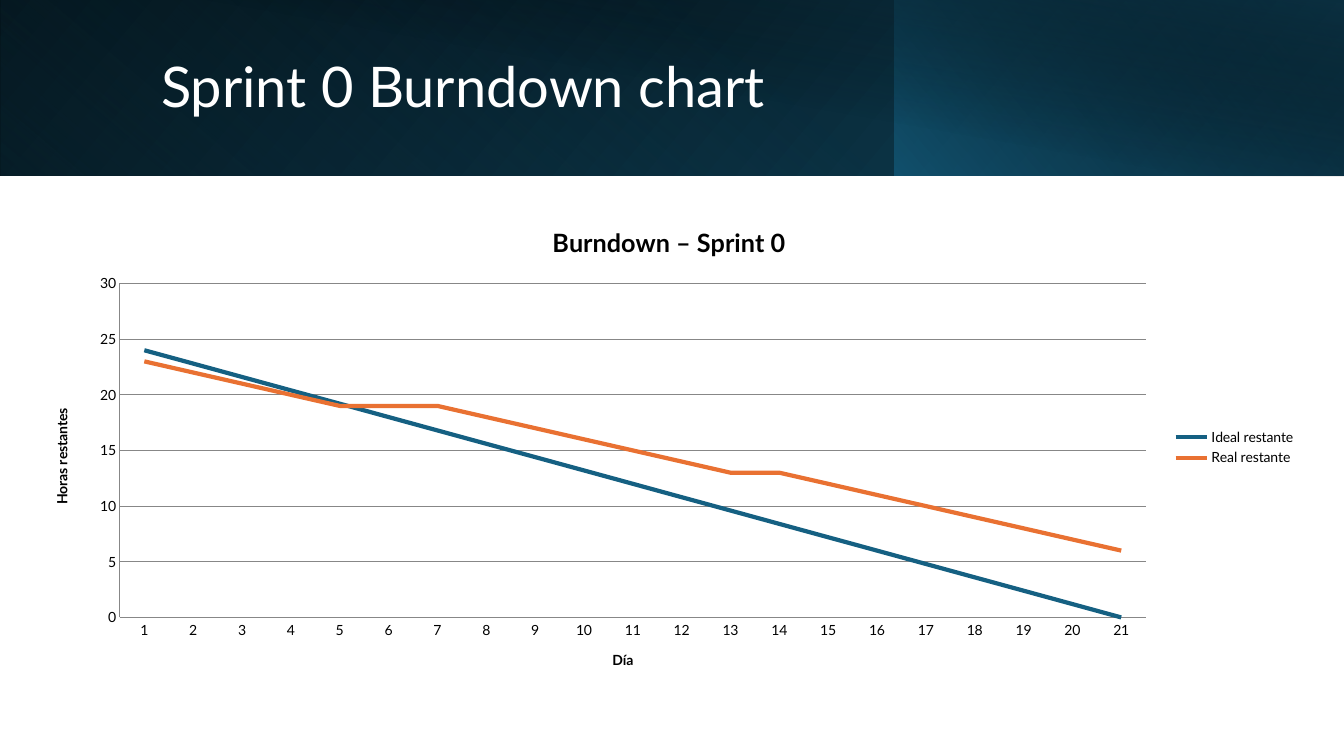
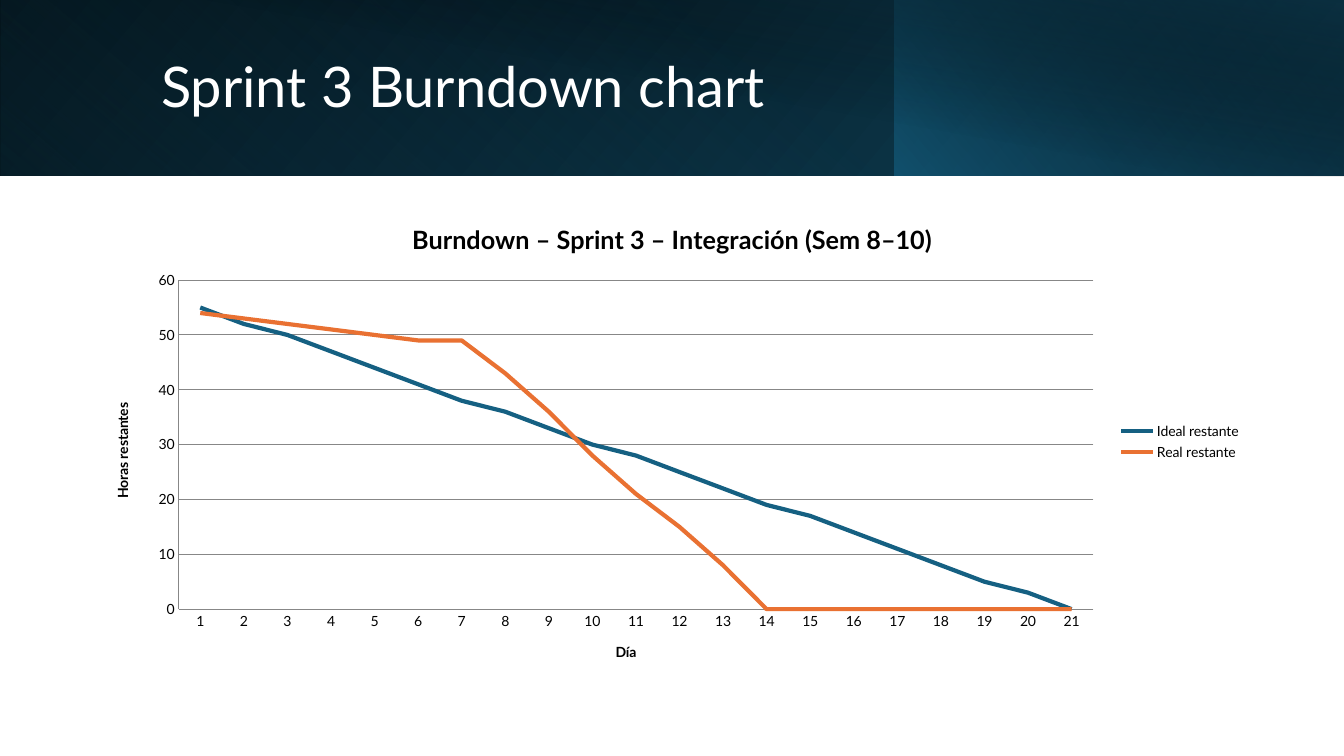
from lxml.etree import SubElement
from pptx import Presentation
from pptx.chart.data import CategoryChartData
from pptx.dml.color import RGBColor
from pptx.enum.chart import XL_CHART_TYPE as CT, XL_LEGEND_POSITION as LP, XL_TICK_MARK as TM
from pptx.enum.shapes import MSO_SHAPE as SHAPE
from pptx.enum.text import MSO_ANCHOR as ANCHOR
from pptx.oxml.ns import qn
from pptx.util import Emu, Pt

PX = 9525  # 96 px to the inch
FONT = "Lato"
BLACK = RGBColor(0x00, 0x00, 0x00)
WHITE = RGBColor(0xFF, 0xFF, 0xFF)
BLUE = RGBColor(0x15, 0x60, 0x82)
MID_BLUE = RGBColor(0x10, 0x48, 0x62)
DEEP_BLUE = RGBColor(0x0B, 0x30, 0x41)
ORANGE = RGBColor(0xE9, 0x71, 0x32)
GRAY = RGBColor(0x87, 0x87, 0x87)

SLIDE_W, SLIDE_H = 1280, 720
BAND = (0, 0, SLIDE_W, 168)
DAYS = range(1, 22)

SPRINTS = [
    {"title": "Sprint 0 Burndown chart",
     "chart": "Burndown – Sprint 0",
     "box": (30, 195, 1214, 462),
     "ideal": [24, 22.8, 21.6, 20.4, 19.2, 18, 16.8, 15.6, 14.4, 13.2, 12,
               10.8, 9.6, 8.4, 7.2, 6, 4.8, 3.6, 2.4, 1.2, 0],
     "real": [23, 22, 21, 20, 19, 19, 19, 18, 17, 16, 15,
              14, 13, 13, 12, 11, 10, 9, 8, 7, 6]},
    {"title": "Sprint 3 Burndown chart",
     "chart": "Burndown – Sprint 3 – Integración (Sem 8–10)",
     "box": (88, 192, 1104, 457),
     "ideal": [55, 52, 50, 47, 44, 41, 38, 36, 33, 30, 28,
               25, 22, 19, 17, 14, 11, 8, 5, 3, 0],
     "real": [54, 53, 52, 51, 50, 49, 49, 43, 36, 28, 21,
              15, 8, 0, 0, 0, 0, 0, 0, 0, 0]},
]


def emu(*box):
    return [Emu(v * PX) for v in box]


def style(font, size, color, bold=False):
    font.name, font.size, font.bold = FONT, Pt(size), bold
    font.color.rgb = color


def add_gradient(s, box, stops, angle, flip=True, rotation=0):
    """Rectangle with two stops (position %, colour, opacity %); angle is clockwise."""
    sp = s.shapes.add_shape(SHAPE.RECTANGLE, *emu(*box))
    sp.shadow.inherit = False
    sp.line.fill.background()
    sp.rotation = rotation
    sp.fill.gradient()
    sp.fill.gradient_angle = 360 - angle
    for stop, (position, color, _) in zip(sp.fill.gradient_stops, stops):
        stop.position = position / 100
        stop.color.rgb = color
    spPr = sp.element.spPr
    for clr, (_, _, opacity) in zip(spPr.iter(qn("a:srgbClr")), stops):
        if opacity < 100:
            SubElement(clr, qn("a:alpha")).set("val", str(opacity * 1000))
    if flip:
        spPr.find(qn("a:xfrm")).set("flipH", "1")


def add_band(s, box, title):
    x, y, w, h = box
    split = 852  # where the right panel starts
    # Layered gradients
    add_gradient(s, (x, y, w, h - 1), [(0, BLACK, 100), (100, MID_BLUE, 100)], 140)
    add_gradient(s, (x, y, split, h - 1), [(20, BLUE, 0), (100, DEEP_BLUE, 55)], 230,
                 rotation=180)
    add_gradient(s, (x + split, y, w - split, h - 1), [(0, BLUE, 66), (100, BLACK, 30)], 220)
    add_gradient(s, (x + 48, y, w - 48, h), [(50, BLACK, 0), (99, DEEP_BLUE, 52)], 280,
                 flip=False)
    # Title
    tf = s.shapes.add_textbox(*emu(x + 144, y + 31, w - 241, h - 60)).text_frame
    tf.word_wrap = True
    tf.vertical_anchor = ANCHOR.MIDDLE
    p = tf.paragraphs[0]
    p.line_spacing = 0.9
    r = p.add_run()
    r.text = title
    style(r.font, 40, WHITE)


def set_title(owner_title, text, size):
    r = owner_title.text_frame.paragraphs[0].add_run()
    r.text = text
    style(r.font, size, BLACK, bold=True)


def add_burndown(s, box, title, ideal, real):
    data = CategoryChartData()
    data.categories = [str(day) for day in DAYS]
    data.add_series("Ideal restante", ideal)
    data.add_series("Real restante", real)
    chart = s.shapes.add_chart(CT.LINE, *emu(*box), data).chart
    style(chart.font, 10, BLACK)
    chart.has_title = True
    set_title(chart.chart_title, title, 18)
    chart.chart_title.include_in_layout = False
    # Axes
    for axis, name in ((chart.category_axis, "Día"), (chart.value_axis, "Horas restantes")):
        set_title(axis.axis_title, name, 10)
        axis.major_tick_mark = axis.minor_tick_mark = TM.NONE
        axis.format.line.color.rgb = GRAY
    grid = chart.value_axis.major_gridlines.format.line
    grid.color.rgb, grid.width = GRAY, Pt(0.75)
    # Legend and lines
    chart.has_legend = True
    chart.legend.position = LP.RIGHT
    chart.legend.include_in_layout = False
    plot = chart.plots[0]
    plot.vary_by_categories = False
    for series, color in zip(plot.series, (BLUE, ORANGE)):
        series.smooth = False
        series.format.line.color.rgb = color
        series.format.line.width = Pt(3)


def main():
    prs = Presentation()
    prs.slide_width, prs.slide_height = emu(SLIDE_W, SLIDE_H)
    for sprint in SPRINTS:
        s = prs.slides.add_slide(prs.slide_layouts[6])
        add_band(s, BAND, sprint["title"])
        add_burndown(s, sprint["box"], sprint["chart"], sprint["ideal"], sprint["real"])
    prs.save("out.pptx")


if __name__ == "__main__":
    main()
